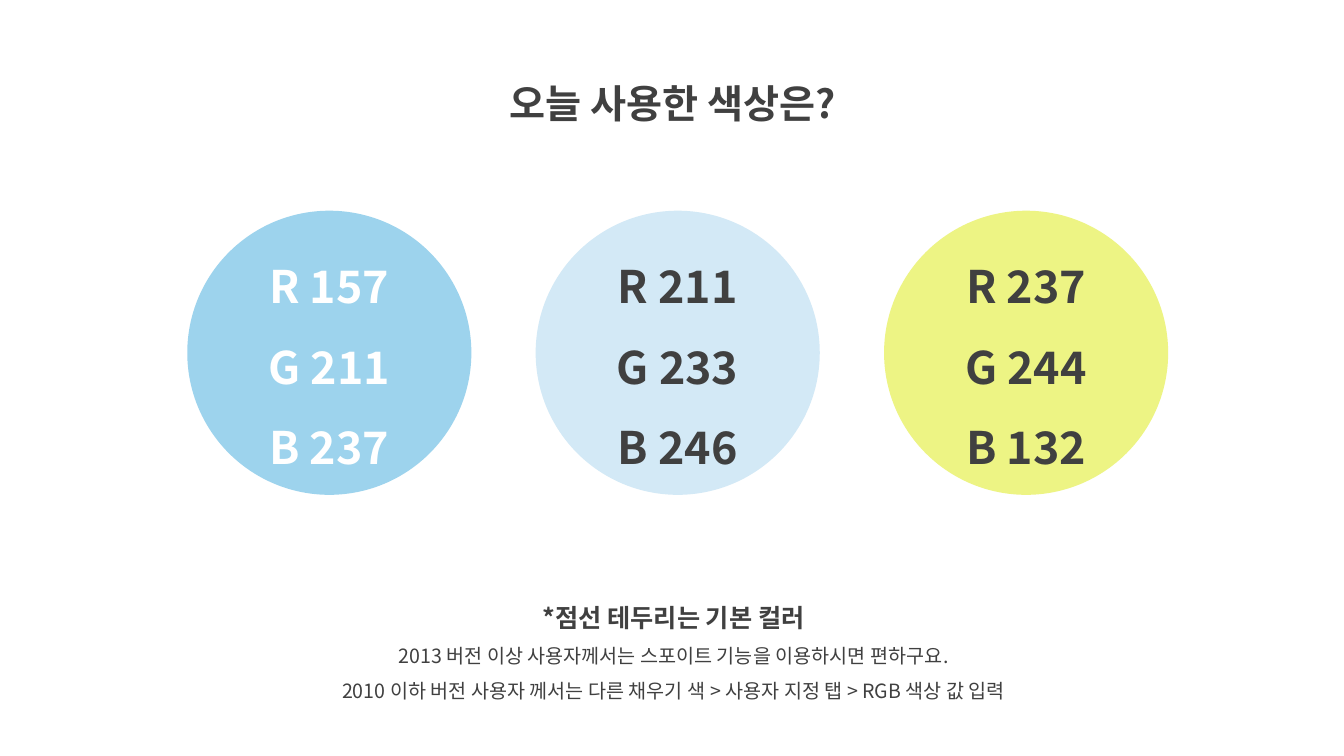
"""Build a slide that lists the RGB values of the three colours in use."""
from lxml import etree
from pptx import Presentation
from pptx import util as u
from pptx.dml.color import RGBColor
from pptx.enum import shapes, text
from pptx.oxml.ns import qn

FONT = "Noto Sans CJK KR"
COLORS = {
    "dark": "404040",
    "white": "FFFFFF",
    "sky": "9DD3ED",
    "pale": "D3E9F6",
    "lime": "EDF484",
}
TITLE = [("오늘 사용한 색상은?", 28, True)]
NOTES = [
    ("*점선 테두리는 기본 컬러", 18, True),
    ("2013 버전 이상 사용자께서는 스포이트 기능을 이용하시면 편하구요.", 14, False),
    ("2010 이하 버전 사용자 께서는 다른 채우기 색 > 사용자 지정 탭 > RGB 색상 값 입력", 14, False),
]
SWATCHES = [
    ("sky", "white", ["R 157", "G 211", "B 237"]),
    ("pale", "dark", ["R 211", "G 233", "B 246"]),
    ("lime", "dark", ["R 237", "G 244", "B 132"]),
]
CIRCLE_LEFT, CIRCLE_TOP, CIRCLE_SIZE, CIRCLE_STEP = 4.72, 5.31, 7.16, 8.78


def write_lines(tf, lines, color):
    tf.word_wrap = True
    tf.text = "\n".join(line for line, _, _ in lines)
    for p, (_, size, bold) in zip(tf.paragraphs, lines):
        p.alignment = text.PP_ALIGN.CENTER
        p.line_spacing = 1.5
        for r in p.runs:
            r.font.name = FONT
            r.font.size = u.Pt(size)
            r.font.bold = bold
            r.font.color.rgb = RGBColor.from_string(COLORS[color])
            etree.SubElement(r.font._element, qn("a:ea"), typeface=FONT)


def add_text(s, lines, left, top, width, height):
    sp = s.shapes.add_textbox(u.Cm(left), u.Cm(top), u.Cm(width), u.Cm(height))
    write_lines(sp.text_frame, lines, "dark")


def add_swatch(s, index, fill, color, values):
    left = CIRCLE_LEFT + index * CIRCLE_STEP
    sp = s.shapes.add_shape(
        shapes.MSO_SHAPE.OVAL,
        u.Cm(left), u.Cm(CIRCLE_TOP), u.Cm(CIRCLE_SIZE), u.Cm(CIRCLE_SIZE),
    )
    sp.shadow.inherit = False
    sp.fill.solid()
    sp.fill.fore_color.rgb = RGBColor.from_string(COLORS[fill])
    sp.line.fill.background()
    sp.text_frame.vertical_anchor = text.MSO_ANCHOR.MIDDLE
    write_lines(sp.text_frame, [(value, 32, True) for value in values], color)


def main():
    prs = Presentation()
    prs.slide_width, prs.slide_height = u.Cm(33.87), u.Cm(19.05)
    s = prs.slides.add_slide(prs.slide_layouts[6])
    add_text(s, TITLE, 11.07, 1.27, 11.76, 1.83)
    add_text(s, NOTES, 6.83, 14.66, 20.29, 3.2)
    for index, swatch in enumerate(SWATCHES):
        add_swatch(s, index, *swatch)
    prs.save("out.pptx")


if __name__ == "__main__":
    main()
